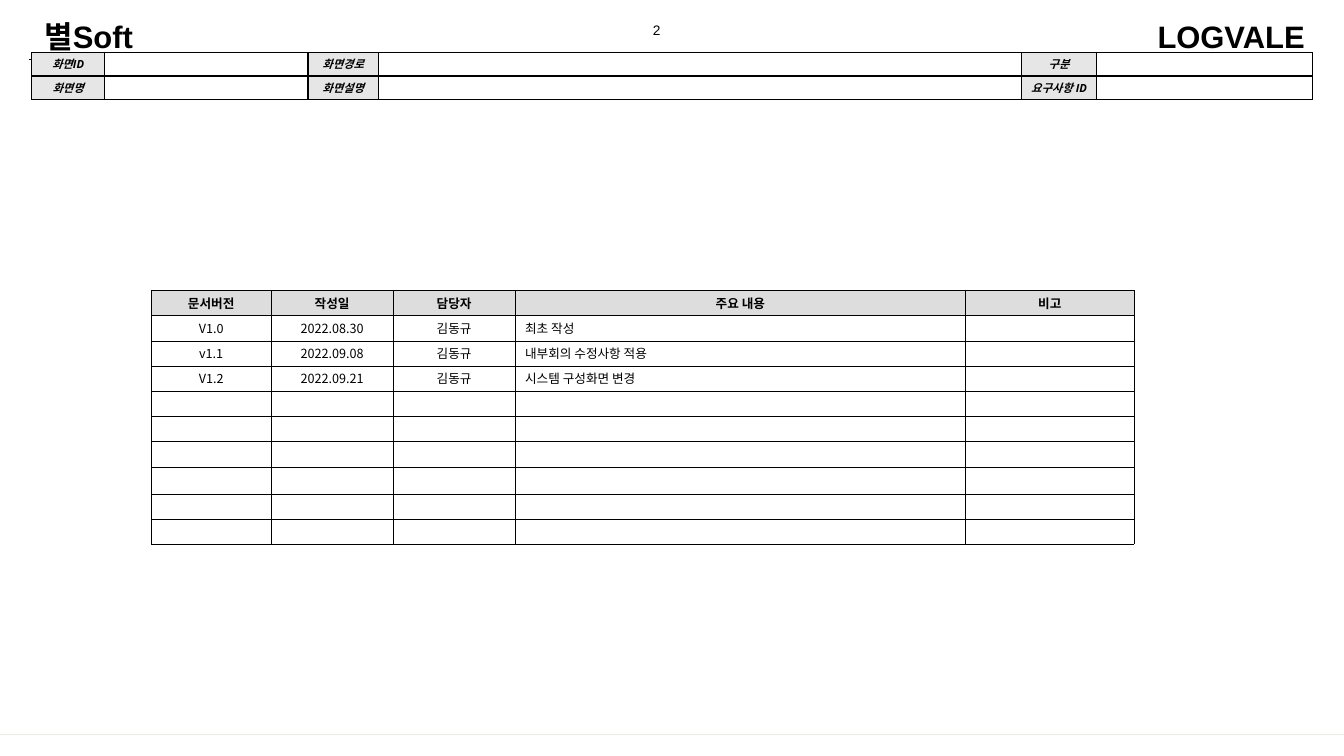
from lxml import etree
from pptx import Presentation, util as u
from pptx.dml.color import RGBColor
from pptx.enum import shapes, text
from pptx.oxml import ns

WIDE, HIGH = u.Inches(13.33), u.Inches(7.5)
INK, PAPER, RULE = "000000", "FFFFFF", "EEECE1"
LEFT, MID, RIGHT = text.PP_ALIGN.LEFT, text.PP_ALIGN.CENTER, text.PP_ALIGN.RIGHT

FORM = [["화면ID", "", "화면경로", "", "구분", ""],
        ["화면명", "", "화면설명", "", "요구사항 ID", ""]]
HEADS = ["문서버전", "작성일", "담당자", "주요 내용", "비고"]
LOG = [["V1.0", "2022.08.30", "김동규", "최초 작성", ""],
       ["v1.1", "2022.09.08", "김동규", "내부회의 수정사항 적용", ""],
       ["V1.2", "2022.09.21", "김동규", "시스템 구성화면 변경", ""]]
SPARE = 6


def across(share):
    """Turn a percentage of the slide's width into a length."""
    return u.Emu(round(WIDE * share / 100))


def down(share):
    """Turn a percentage of the slide's height into a length."""
    return u.Emu(round(HIGH * share / 100))


def place(box):
    """Turn left, top, width and height shares into lengths."""
    x, y, w, h = box
    return across(x), down(y), across(w), down(h)


def tint(code):
    """Return the colour for a hex string."""
    return RGBColor.from_string(code)


def sub(node, tag, **attrs):
    """Append a DrawingML child to a node."""
    return etree.SubElement(node, ns.qn("a:" + tag), **attrs)


def write(para, words, face, size, bold=False, slant=False, align=LEFT):
    """Add one styled run, or size the line when there are no words."""
    para.alignment = align
    if not words:
        sub(para._p, "endParaRPr", sz=str(size * 100))
        return
    run = para.add_run()
    run.text = words
    font = run.font
    font.name, font.size, font.bold, font.italic = face, u.Pt(size), bold, slant
    font.color.rgb = tint(INK)
    sub(run._r.get_or_add_rPr(), "ea", typeface=face)


def label(slide, box, words, size, inset, bold=False, align=LEFT):
    """Add a text box with one line of Arial."""
    frame = slide.shapes.add_textbox(*place(box)).text_frame
    frame.word_wrap = True
    frame.margin_left, frame.margin_right = inset
    frame.margin_top = frame.margin_bottom = u.Inches(0.06)
    write(frame.paragraphs[0], words, "Arial", size, bold, align=align)


def rule(slide, start, end, y, code):
    """Draw a thin level line between two shares of the width."""
    line = slide.shapes.add_connector(
        shapes.MSO_CONNECTOR.STRAIGHT, across(start), down(y), across(end), down(y))
    line.line.color.rgb = tint(code)
    line.line.width = u.Pt(0.75)
    sub(line._element.spPr, "effectLst")


def edge(cell, width):
    """Give a cell four solid borders."""
    props = cell._tc.get_or_add_tcPr()
    for side in ("lnL", "lnR", "lnT", "lnB"):
        line = sub(props, side, w=str(u.Pt(width)))
        sub(sub(line, "solidFill"), "srgbClr", val=INK)


def grid(slide, box, cols, rows, border):
    """Add a plain table whose columns and rows share the box by weight."""
    spot = place(box)
    table = slide.shapes.add_table(len(rows), len(cols), *spot).table
    table.first_row = table.horz_banding = False
    for line, weights, span in ((table.columns, cols, spot[2]),
                                (table.rows, rows, spot[3])):
        for part, weight in zip(line, weights):
            size = u.Emu(round(span * weight / sum(weights)))
            if line is table.columns:
                part.width = size
            else:
                part.height = size
    for cell in table.iter_cells():
        edge(cell, border)
        cell.vertical_anchor = text.MSO_ANCHOR.MIDDLE
        cell.margin_top = cell.margin_bottom = u.Inches(0.01)
    return table


def fill(cell, code):
    """Fill a cell with one colour."""
    cell.fill.solid()
    cell.fill.fore_color.rgb = tint(code)


def form(slide):
    """Add the screen details strip, with a label in every other cell."""
    table = grid(slide, (2.37, 6.93, 95.27, 6.27),
                 (72, 202, 70, 638, 74, 214), (1, 1), 1)
    for r, row in enumerate(FORM):
        for c, words in enumerate(row):
            cell = table.cell(r, c)
            cell.margin_left = cell.margin_right = u.Inches(0.01)
            fill(cell, PAPER if c % 2 else "E6E6E6")
            write(cell.text_frame.paragraphs[0], words, "Open Sans", 8, True, True, MID)


def history(slide):
    """Add the table of document versions with spare rows below."""
    rows = [HEADS] + LOG + [[""] * len(HEADS)] * SPARE
    table = grid(slide, (11.25, 38.4, 73.13, 33.6), (119, 121, 121, 447, 167),
                 [27 if r == 7 else 25 for r in range(len(rows))], 0.25)
    for r, row in enumerate(rows):
        for c, words in enumerate(row):
            cell, head = table.cell(r, c), r == 0
            fill(cell, "DDDDDD" if head else PAPER)
            para = cell.text_frame.paragraphs[0]
            para.space_before = u.Pt(1.8)
            write(para, words, "Noto Sans CJK KR", 9, head,
                  align=MID if head or c != 3 else LEFT)


def main():
    """Build the version history slide."""
    deck = Presentation()
    deck.slide_width, deck.slide_height = WIDE, HIGH
    slide = deck.slides.add_slide(deck.slide_layouts[6])
    side = u.Inches(0.12)
    label(slide, (1.28, 1.47, 11.63, 6.53), "별Soft", 22.1, (u.Inches(0.27), side), True)
    label(slide, (84.47, 1.47, 13.5, 6.53), "LOGVALE", 22.1, (side, side), True, RIGHT)
    rule(slide, 0, 100, 97.2, RULE)
    label(slide, (44.86, 2.13, 5.18, 3.6), "2", 9.8, (side, side), align=RIGHT)
    rule(slide, 2.18, 97.3, 7.87, INK)
    form(slide)
    history(slide)
    deck.save("out.pptx")


main()
